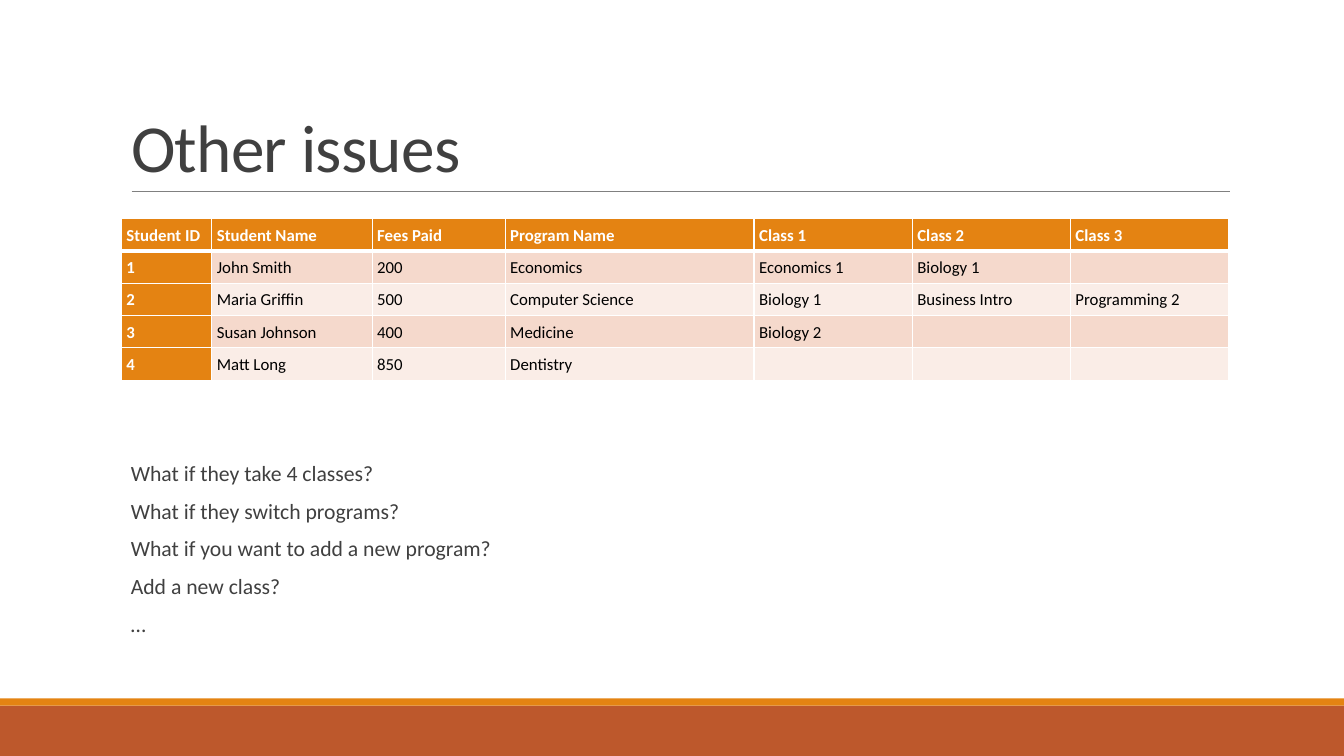
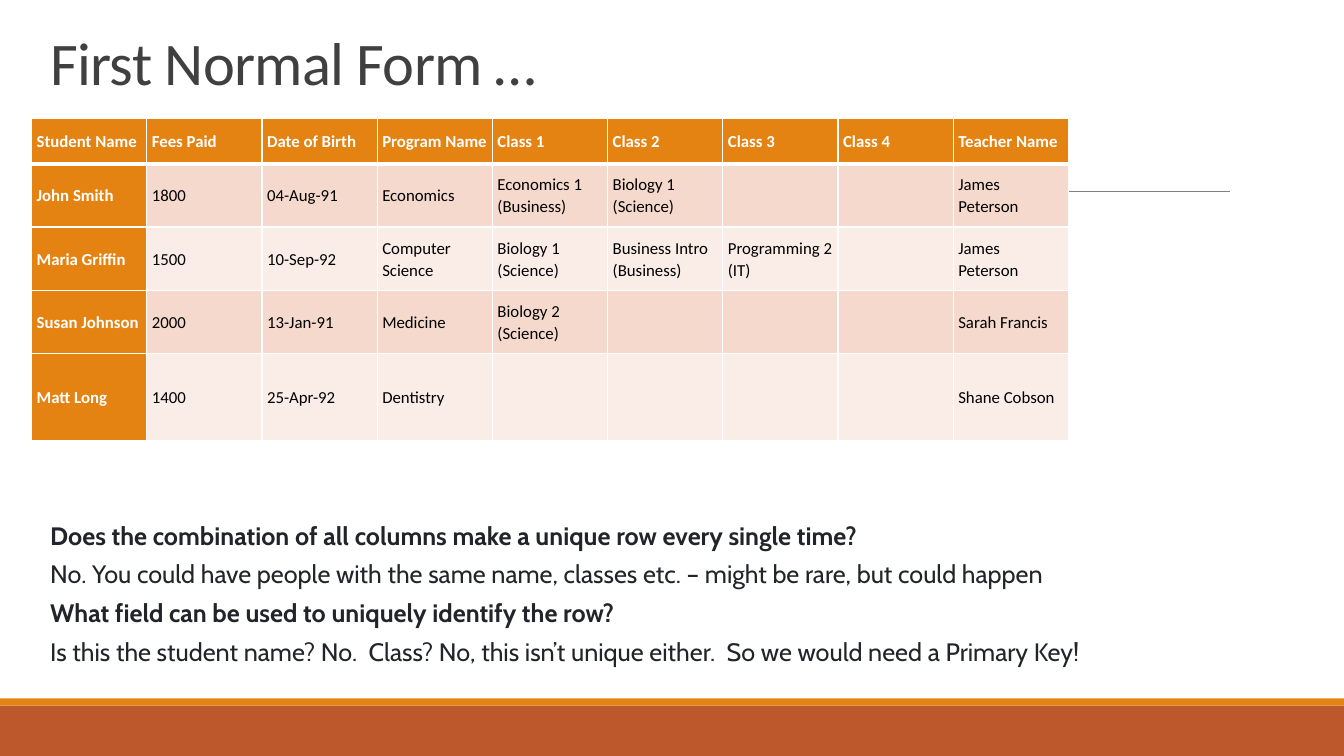
import pptx
import pptx.dml.color
import pptx.enum.shapes
import pptx.enum.text
import pptx.oxml.ns
import pptx.util
from lxml import etree

Pt = pptx.util.Pt
RGBColor = pptx.dml.color.RGBColor
MSO_ANCHOR = pptx.enum.text.MSO_ANCHOR
MSO_AUTO_SIZE = pptx.enum.text.MSO_AUTO_SIZE
PP_ALIGN = pptx.enum.text.PP_ALIGN
qn = pptx.oxml.ns.qn

ORANGE = RGBColor(0xE4, 0x83, 0x12)
RUST = RGBColor(0xBD, 0x58, 0x2C)
GRAY = RGBColor(0x80, 0x80, 0x80)
CHARCOAL = RGBColor(0x40, 0x40, 0x40)
INK = RGBColor(0x21, 0x25, 0x29)
BLACK = RGBColor(0, 0, 0)
WHITE = RGBColor(0xFF, 0xFF, 0xFF)
ROW_FILLS = (RGBColor(0xF5, 0xD9, 0xCC), RGBColor(0xFA, 0xED, 0xE7))

SLIDE_WIDTH, SLIDE_HEIGHT = 960, 540
MAIN_FONT = "Calibri"
ANSWER_FONT = "Cabin"
TABLE_SIZE = 12
CELL_INSET = 3.6
TITLE_TOP = 22.3

PROGRAM_ROWS = [
    ["Student ID", "Student Name", "Fees Paid", "Program Name", "Class 1", "Class 2", "Class 3"],
    ["1", "John Smith", "200", "Economics", "Economics 1", "Biology 1", ""],
    ["2", "Maria Griffin", "500", "Computer Science", "Biology 1", "Business Intro", "Programming 2"],
    ["3", "Susan Johnson", "400", "Medicine", "Biology 2", "", ""],
    ["4", "Matt Long", "850", "Dentistry", "", "", ""],
]
TEACHER_ROWS = [
    ["Student Name", "Fees Paid", "Date of Birth", "Program Name",
     "Class 1", "Class 2", "Class 3", "Class 4", "Teacher Name"],
    ["John Smith", "1800", "04-Aug-91", "Economics",
     "Economics 1 (Business)", "Biology 1 (Science)", "", "", "James Peterson"],
    ["Maria Griffin", "1500", "10-Sep-92", "Computer Science",
     "Biology 1 (Science)", "Business Intro (Business)", "Programming 2 (IT)", "", "James Peterson"],
    ["Susan Johnson", "2000", "13-Jan-91", "Medicine",
     "Biology 2 (Science)", "", "", "", "Sarah Francis"],
    ["Matt Long", "1400", "25-Apr-92", "Dentistry", "", "", "", "", "Shane Cobson"],
]
OPEN_QUESTIONS = [
    "What if they take 4 classes?",
    "What if they switch programs?",
    "What if you want to add a new program?",
    "Add a new class?",
    "…",
]
QUESTIONS_AND_ANSWERS = [
    ("Does the combination of all columns make a unique row every single time?",
     "No. You could have people with the same name, classes etc. – might be rare, but could happen"),
    ("What field can be used to uniquely identify the row?",
     "Is this the student name? No.  Class? No, this isn’t unique either.  "
     "So we would need a Primary Key!"),
]


def add_run(paragraph, text, size, color, font=MAIN_FONT, bold=False):
    run = paragraph.add_run()
    run.text = text
    run.font.name = font
    run.font.size = Pt(size)
    run.font.bold = bold
    run.font.color.rgb = color
    return run


def add_band(slide, top, height, color):
    shape = slide.shapes.add_shape(
        pptx.enum.shapes.MSO_SHAPE.RECTANGLE, 0, Pt(top), Pt(SLIDE_WIDTH), Pt(height))
    shape.shadow.inherit = False
    shape.fill.solid()
    shape.fill.fore_color.rgb = color
    shape.line.fill.background()


def add_rule(slide, left, right, top):
    rule = slide.shapes.add_connector(
        pptx.enum.shapes.MSO_CONNECTOR.STRAIGHT, Pt(left), Pt(top), Pt(right), Pt(top))
    rule.line.color.rgb = GRAY
    rule.line.width = Pt(0.5)
    etree.SubElement(rule._element.spPr, qn("a:effectLst"))


def add_titled_slide(presentation, title, left, width, height, size):
    """Add a slide with the shared bands, rule and title style."""
    slide = presentation.slides.add_slide(presentation.slide_layouts[5])
    add_band(slide, 504, SLIDE_HEIGHT - 504, RUST)
    add_band(slide, 498.9, 5.1, ORANGE)
    add_rule(slide, 94.1, 878.9, 136.8)

    shape = slide.shapes.title
    shape.left, shape.top = Pt(left), Pt(TITLE_TOP)
    shape.width, shape.height = Pt(width), Pt(height)
    frame = shape.text_frame
    frame.word_wrap = True
    frame.auto_size = MSO_AUTO_SIZE.NONE
    frame.vertical_anchor = MSO_ANCHOR.BOTTOM
    paragraph = frame.paragraphs[0]
    paragraph.alignment = PP_ALIGN.LEFT
    paragraph.line_spacing = 0.85
    run = add_run(paragraph, title, size, CHARCOAL)
    run.font._element.set("spc", "-50")
    return slide


def set_border(cell, edge, width):
    line = etree.SubElement(cell._tc.get_or_add_tcPr(), qn("a:" + edge), w=str(int(Pt(width))))
    fill = etree.SubElement(line, qn("a:solidFill"))
    etree.SubElement(fill, qn("a:srgbClr"), val=str(WHITE))


def format_cell(cell, text, row, column):
    is_heading = row == 0 or column == 0
    borders = {"lnL": 1, "lnR": 1, "lnT": 3 if row == 1 else 1, "lnB": 3 if row == 0 else 1}
    for edge, width in borders.items():
        set_border(cell, edge, width)
    cell.fill.solid()
    cell.fill.fore_color.rgb = ORANGE if is_heading else ROW_FILLS[(row - 1) % 2]
    cell.margin_left = cell.margin_right = Pt(CELL_INSET)
    cell.margin_top = cell.margin_bottom = Pt(CELL_INSET)
    cell.vertical_anchor = MSO_ANCHOR.MIDDLE
    paragraph = cell.text_frame.paragraphs[0]
    paragraph.line_spacing = 1.07
    if text:
        add_run(paragraph, text, TABLE_SIZE, WHITE if is_heading else BLACK, bold=is_heading)
    else:
        # An empty cell would otherwise grow to the default text size.
        etree.SubElement(paragraph._p, qn("a:endParaRPr"), sz=str(TABLE_SIZE * 100))


def add_data_table(slide, left, top, rows, column_widths, row_heights):
    table = slide.shapes.add_table(
        len(rows), len(column_widths), Pt(left), Pt(top),
        Pt(sum(column_widths)), Pt(sum(row_heights))).table
    table.first_col = True
    for column, width in zip(table.columns, column_widths):
        column.width = Pt(width)
    for row, height in zip(table.rows, row_heights):
        row.height = Pt(height)
    for row_index, texts in enumerate(rows):
        for column_index, text in enumerate(texts):
            format_cell(table.cell(row_index, column_index), text, row_index, column_index)


def add_text_frame(slide, left, top, width, height):
    frame = slide.shapes.add_textbox(Pt(left), Pt(top), Pt(width), Pt(height)).text_frame
    frame.word_wrap = True
    return frame


def add_paragraph(frame, is_first):
    return frame.paragraphs[0] if is_first else frame.add_paragraph()


def add_open_questions(slide):
    frame = add_text_frame(slide, 86.4, 329.8, 792, 132.5)
    for index, question in enumerate(OPEN_QUESTIONS):
        paragraph = add_paragraph(frame, index == 0)
        paragraph.line_spacing = 0.7
        paragraph.space_before = Pt(12)
        paragraph.space_after = Pt(2)
        add_run(paragraph, question, 15.5, CHARCOAL)


def add_questions_and_answers(slide):
    frame = add_text_frame(slide, 28.8, 367.9, 905, 113)
    for pair_index, pair in enumerate(QUESTIONS_AND_ANSWERS):
        for text, is_question in zip(pair, (True, False)):
            paragraph = add_paragraph(frame, pair_index == 0 and is_question)
            paragraph.space_after = Pt(6)
            add_run(paragraph, text, 18, INK, ANSWER_FONT, is_question)


def main():
    presentation = pptx.Presentation()
    presentation.slide_width = Pt(SLIDE_WIDTH)
    presentation.slide_height = Pt(SLIDE_HEIGHT)

    slide = add_titled_slide(presentation, "Other issues", 86.4, 792, 114.5, 48)
    add_data_table(slide, 86.7, 156.2, PROGRAM_ROWS,
                   [64.6, 114.6, 95, 177.8] + [113] * 3, [23.1] * 5)
    add_open_questions(slide)

    slide = add_titled_slide(presentation, "First Normal Form …", 28.8, 849.6, 51.1, 43.2)
    add_data_table(slide, 22.6, 84.6, TEACHER_ROWS,
                   [82.3] * 9, [32.4] + [45.2] * 3 + [62])
    add_questions_and_answers(slide)

    presentation.save("out.pptx")


if __name__ == "__main__":
    main()
